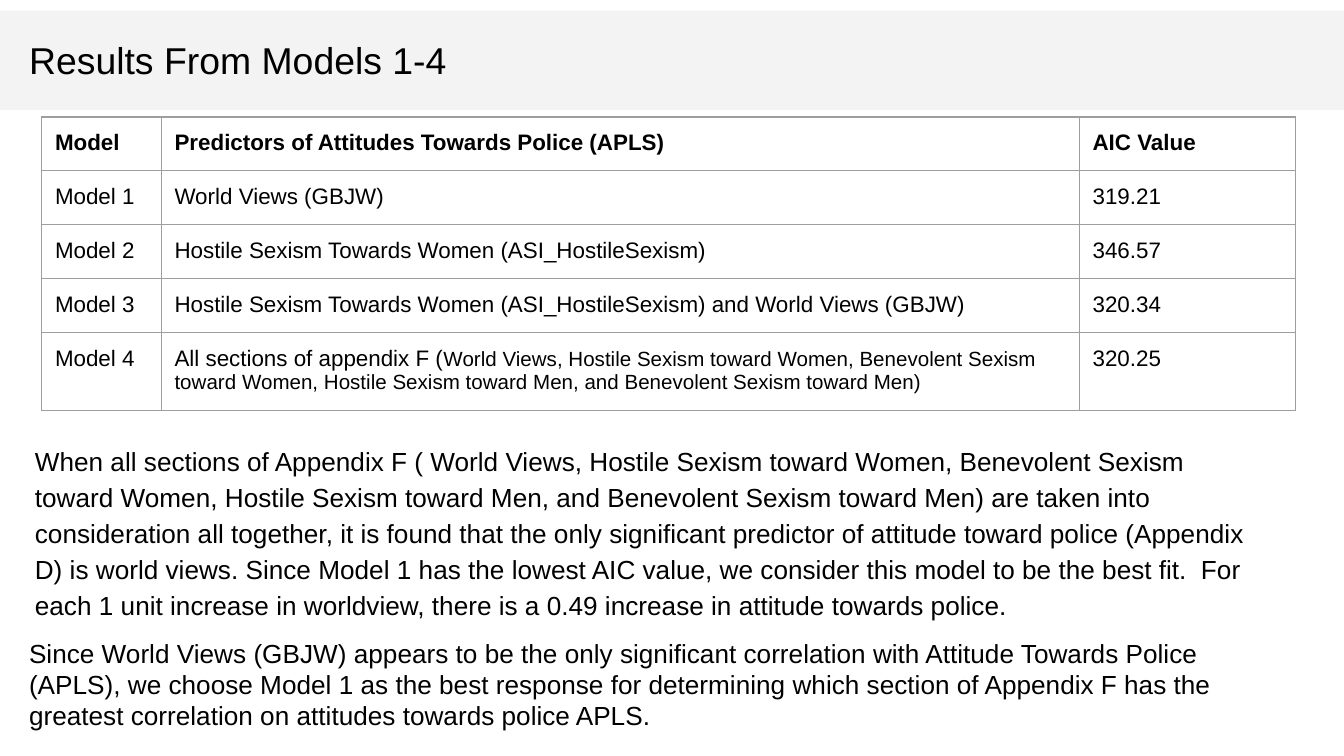
from lxml.etree import SubElement
from pptx import Presentation
from pptx.dml.color import RGBColor
from pptx.enum.shapes import MSO_SHAPE
from pptx.enum.text import MSO_ANCHOR, MSO_AUTO_SIZE, PP_ALIGN
from pptx.oxml.ns import qn
from pptx.util import Cm, Pt

# Content
TITLE = "Results From Models 1-4"
HEADER = ("Model", "Predictors of Attitudes Towards Police (APLS)", "AIC Value")
MODELS = [
    ("World Views (GBJW)", "", "319.21"),
    ("Hostile Sexism Towards Women (ASI_HostileSexism)", "", "346.57"),
    ("Hostile Sexism Towards Women (ASI_HostileSexism) and World Views (GBJW)", "", "320.34"),
    ("All sections of appendix F (",
     "World Views, Hostile Sexism toward Women, Benevolent Sexism toward Women, "
     "Hostile Sexism toward Men, and Benevolent Sexism toward Men)", "320.25"),
]
FINDING = (
    "When all sections of Appendix F ( World Views, Hostile Sexism toward Women, "
    "Benevolent Sexism toward Women, Hostile Sexism toward Men, and Benevolent Sexism "
    "toward Men) are taken into consideration all together, it is found that the only "
    "significant predictor of attitude toward police (Appendix D) is world views. Since "
    "Model 1 has the lowest AIC value, we consider this model to be the best fit.  For "
    "each 1 unit increase in worldview, there is a 0.49 increase in attitude towards police."
)
CONCLUSION = (
    "Since World Views (GBJW) appears to be the only significant correlation with Attitude "
    "Towards Police (APLS), we choose Model 1 as the best response for determining which "
    "section of Appendix F has the greatest correlation on attitudes towards police APLS."
)

# Layout in centimetres, and colours
SLIDE_WIDTH, SLIDE_HEIGHT = 25.4, 14.29
COLUMN_WIDTHS = (2.26, 17.35, 4.09)
ROW_HEIGHTS = (1.02,) * len(MODELS) + (1.47,)
INSET = 0.25
BLACK, BAND_GREY, BORDER_GREY = "000000", "F3F3F3", "9E9E9E"


def color(hex_code):
    return RGBColor.from_string(hex_code)


def style_run(run, size, bold=False):
    run.font.name = "Arial"
    run.font.size = Pt(size)
    run.font.bold = bold
    run.font.color.rgb = color(BLACK)


def fill_box(box, text, size, left, top, width, height, spacing=1.0):
    box.left, box.top, box.width, box.height = map(Cm, (left, top, width, height))
    frame = box.text_frame
    frame.text = text
    frame.word_wrap = True
    frame.auto_size = MSO_AUTO_SIZE.NONE
    frame.vertical_anchor = MSO_ANCHOR.TOP
    frame.margin_left = frame.margin_right = Cm(INSET)
    frame.margin_top = frame.margin_bottom = Cm(INSET)
    paragraph = frame.paragraphs[0]
    paragraph.alignment = PP_ALIGN.LEFT
    paragraph.line_spacing = spacing
    style_run(paragraph.runs[0], size)


def add_borders(cell):
    properties = cell._tc.get_or_add_tcPr()
    for position, side in enumerate(("lnL", "lnR", "lnT", "lnB")):
        line = SubElement(properties, qn(f"a:{side}"), w=str(Pt(0.75)))
        solid = SubElement(line, qn("a:solidFill"))
        SubElement(solid, qn("a:srgbClr"), val=BORDER_GREY)
        properties.insert(position, line)


def fill_cell(cell, text, detail="", bold=False):
    cell.margin_left = cell.margin_right = Cm(INSET)
    cell.margin_top = cell.margin_bottom = Cm(INSET)
    cell.fill.background()
    add_borders(cell)
    paragraph = cell.text_frame.paragraphs[0]
    paragraph.text = text
    style_run(paragraph.runs[0], 12, bold)
    if detail:
        detail_run = paragraph.add_run()
        detail_run.text = detail
        style_run(detail_run, 11)


presentation = Presentation()
presentation.slide_width, presentation.slide_height = Cm(SLIDE_WIDTH), Cm(SLIDE_HEIGHT)
slide = presentation.slides.add_slide(presentation.slide_layouts[5])
shapes = slide.shapes

# Title on a grey band, which goes behind the placeholder
band = shapes.add_shape(MSO_SHAPE.RECTANGLE, 0, Cm(0.2), Cm(SLIDE_WIDTH), Cm(1.88))
band.shadow.inherit = False
band.fill.solid()
band.fill.fore_color.rgb = color(BAND_GREY)
band.line.fill.background()
shapes.title._element.addprevious(band._element)
fill_box(shapes.title, TITLE, 20, 0.3, 0.46, 13.79, 1.37)

# Finding and conclusion
fill_box(shapes.add_textbox(0, 0, 0, 0), FINDING, 14, 0.41, 8.08, 23.55, 3.86, 1.15)
fill_box(shapes.add_textbox(0, 0, 0, 0), CONCLUSION, 14, 0.3, 11.79, 24.18, 2.31)

# Model comparison table
table = shapes.add_table(
    len(ROW_HEIGHTS), len(COLUMN_WIDTHS), Cm(0.79), Cm(2.21),
    Cm(sum(COLUMN_WIDTHS)), Cm(sum(ROW_HEIGHTS))).table
table.first_row = table.horz_banding = False
for column, width in zip(table.columns, COLUMN_WIDTHS):
    column.width = Cm(width)
for row, height in zip(table.rows, ROW_HEIGHTS):
    row.height = Cm(height)
for column, heading in enumerate(HEADER):
    fill_cell(table.cell(0, column), heading, bold=True)
for number, (predictors, detail, aic) in enumerate(MODELS, start=1):
    fill_cell(table.cell(number, 0), f"Model {number}")
    fill_cell(table.cell(number, 1), predictors, detail)
    fill_cell(table.cell(number, 2), aic)

presentation.save("out.pptx")
